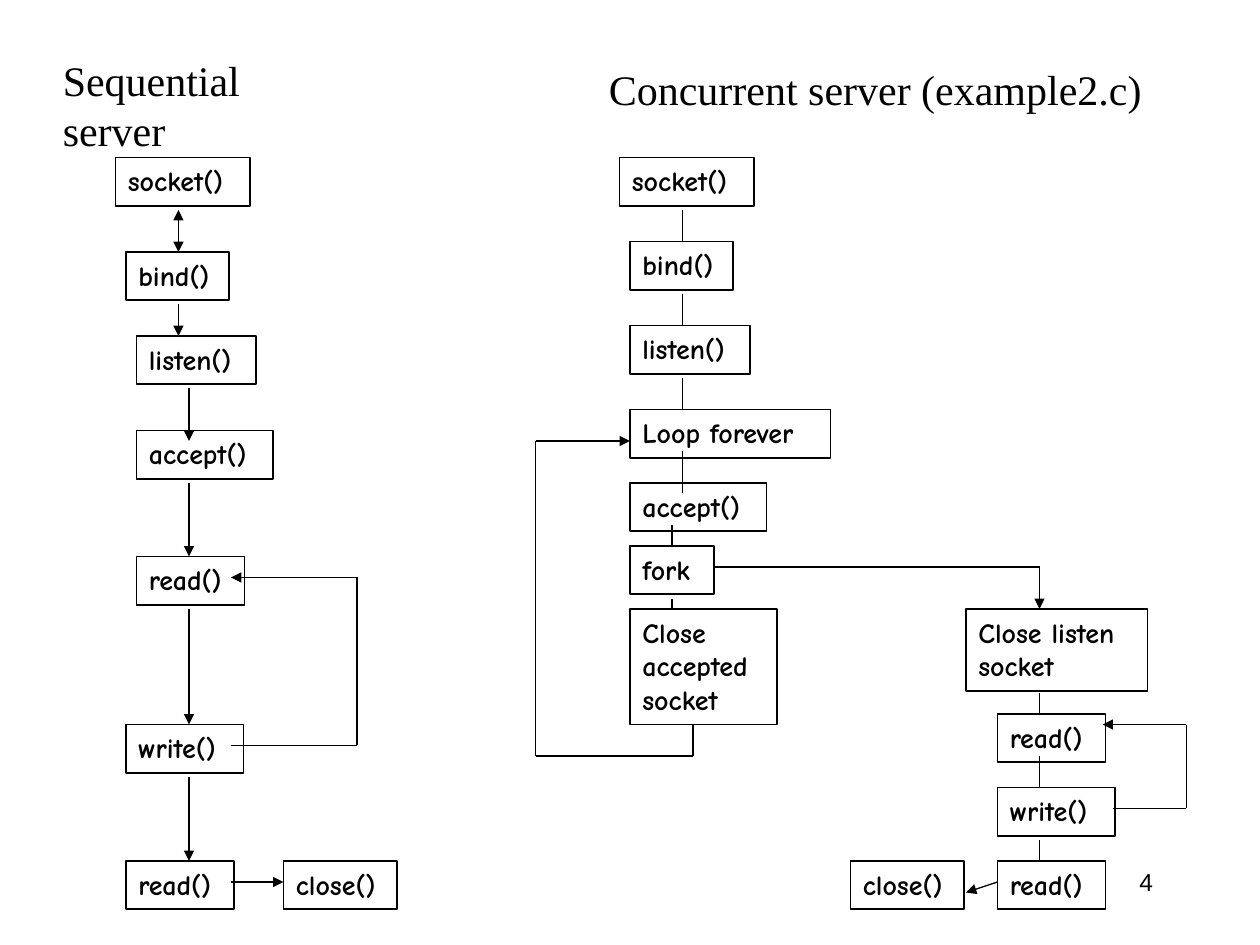
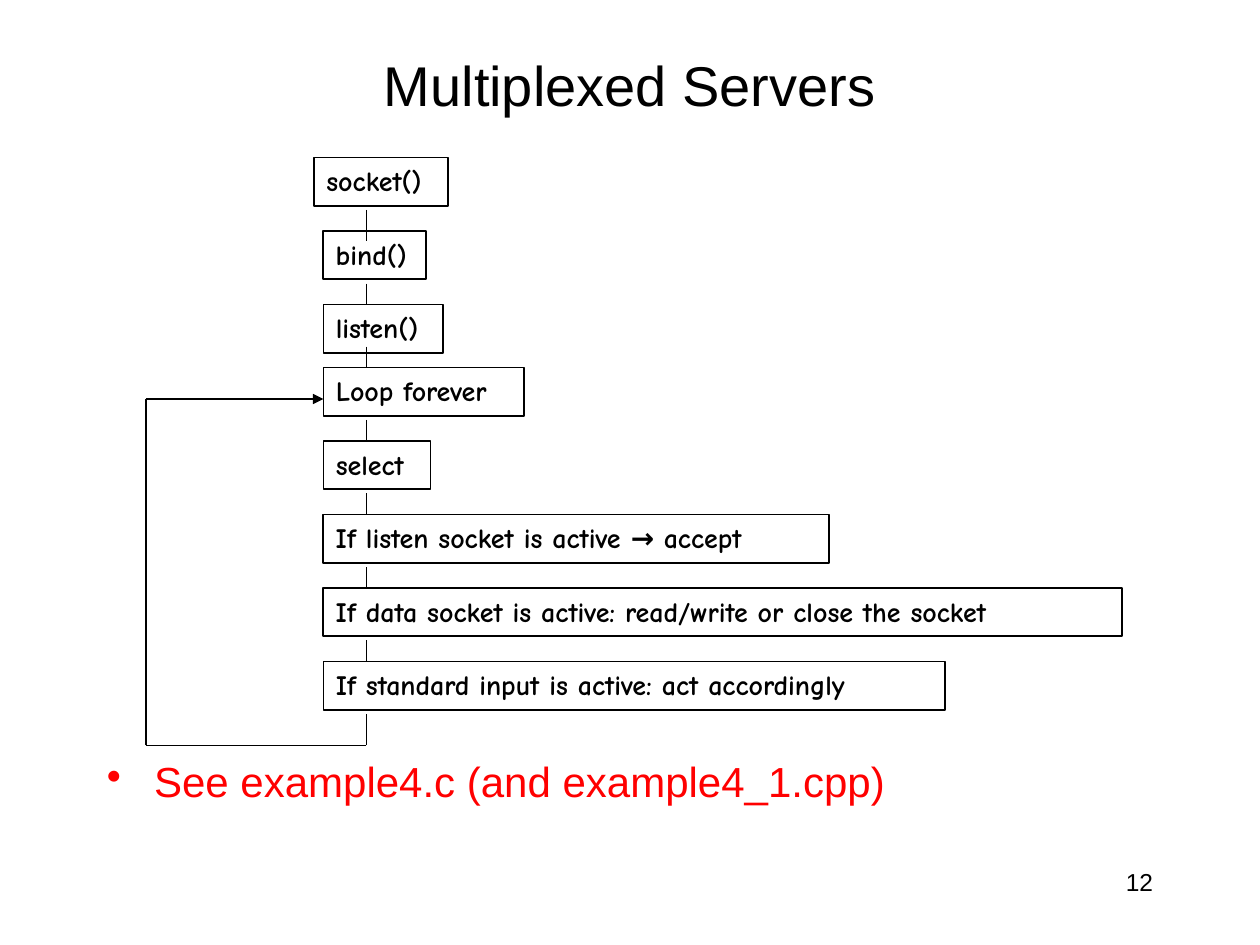
from lxml import etree
from pptx import Presentation
from pptx.dml.color import RGBColor
from pptx.enum.shapes import MSO_CONNECTOR, MSO_SHAPE
from pptx.enum.text import MSO_ANCHOR, PP_ALIGN
from pptx.oxml.ns import qn
from pptx.util import Pt

SCALE = 7620
BLANK = 6
STRAIGHT = MSO_CONNECTOR.STRAIGHT
RECTANGLE = MSO_SHAPE.RECTANGLE
TOP, MIDDLE = MSO_ANCHOR.TOP, MSO_ANCHOR.MIDDLE
LEFT, CENTER, RIGHT = PP_ALIGN.LEFT, PP_ALIGN.CENTER, PP_ALIGN.RIGHT
BLACK, RED = "000000", "FF0000"

FORMATS = {
    "step": {"name": "Comic Neue", "size": Pt(16), "bold": True},
    "heading": {"name": "Times New Roman", "size": Pt(24)},
    "title": {"name": "Arial", "size": Pt(32)},
    "bullet": {"name": "Arial", "size": Pt(24)},
    "number": {"name": "Arial", "size": Pt(14)},
}

STEP_WIDTHS = {
    "socket()": 128,
    "bind()": 98,
    "listen()": 114,
    "accept()": 130,
    "read()": 103,
    "write()": 112,
    "close()": 108,
    "Loop forever": 191,
    "fork": 80,
    "select": 102,
    "Close\naccepted\nsocket": 140,
    "Close listen\nsocket": 173,
    "If listen socket is active → accept": 482,
    "If data socket is active: read/write or close the socket": 761,
    "If standard input is active: act accordingly": 592,
}


def px(length):
    return length * SCALE


def color(value):
    return RGBColor.from_string(value)


class Page:
    def __init__(self, deck):
        self.deck = deck
        self.shapes = None

    def start(self, number):
        layout = self.deck.slide_layouts[BLANK]
        self.shapes = self.deck.slides.add_slide(layout).shapes
        self.text(str(number), 860, 820, 250, 60, "number", align=RIGHT)

    def set_text(self, box, text, style, ink=BLACK, align=LEFT, anchor=TOP, wrap=True):
        frame = box.text_frame
        frame.word_wrap = wrap
        frame.vertical_anchor = anchor
        for index, line in enumerate(text.split("\n")):
            para = frame.paragraphs[0] if index == 0 else frame.add_paragraph()
            para.alignment = align
            span = para.add_run()
            span.text = line
            for name, value in FORMATS[style].items():
                setattr(span.font, name, value)
            span.font.color.rgb = color(ink)

    def text(self, text, left, top, width, height, style, **options):
        box = self.shapes.add_textbox(px(left), px(top), px(width), px(height))
        self.set_text(box, text, style, **options)
        return box

    def title(self, text):
        self.text(text, 90, 30, 1020, 100, "title", align=CENTER, anchor=MIDDLE)

    def heading(self, text, left, top, width):
        self.text(text, left, top, width, 60, "heading", wrap=False)

    def bullet(self, text, top):
        box = self.text(text, 90, top, 1020, 56, "bullet", ink=RED)
        properties = box.text_frame.paragraphs[0]._p.get_or_add_pPr()
        properties.set("marL", str(px(45)))
        properties.set("indent", str(-px(45)))
        etree.SubElement(properties, qn("a:buChar")).set("char", "•")

    def step(self, text, left, top):
        height = 14 + 32 * len(text.split("\n"))
        box = self.shapes.add_shape(
            RECTANGLE, px(left), px(top), px(STEP_WIDTHS[text]), px(height))
        box.shadow.inherit = False
        box.fill.background()
        box.line.color.rgb = color(BLACK)
        box.line.width = Pt(1)
        self.set_text(box, text, "step")

    def steps(self, left, rows):
        for top, text in rows:
            self.step(text, left, top)

    def line(self, start, end, *arrows):
        connector = self.shapes.add_connector(STRAIGHT, *map(px, start + end))
        connector.line.color.rgb = color(BLACK)
        connector.line.width = Pt(0.75)
        properties = connector._element.spPr
        outline = properties.get_or_add_ln()
        for arrow in arrows:
            etree.SubElement(outline, qn(f"a:{arrow}")).set("type", "triangle")
        etree.SubElement(properties, qn("a:effectLst"))

    def links(self, center, spans, *arrows):
        for top, bottom in spans:
            self.line((center, top), (center, bottom), *arrows)

    def route(self, *points):
        for start, end in zip(points[:-2], points[1:-1]):
            self.line(start, end)
        self.line(points[-2], points[-1], "tailEnd")


def sequential_server(page):
    page.heading("Sequential server", 48, 46, 300)
    page.step("socket()", 110, 150)
    page.steps(120, [(240, "bind()"), (690, "write()"), (820, "read()")])
    page.steps(130, [(320, "listen()"), (410, "accept()"), (530, "read()")])
    page.step("close()", 270, 820)
    page.links(170, [(200, 240)], "headEnd", "tailEnd")
    page.links(170, [(290, 320)], "tailEnd")
    page.links(180, [(370, 420), (460, 530), (580, 690), (740, 820)], "tailEnd")
    page.route((220, 840), (270, 840))
    page.route((220, 710), (340, 710), (340, 550), (220, 550))


def concurrent_server(page):
    page.heading("Concurrent server (example2.c)", 568, 55, 532)
    page.step("socket()", 590, 150)
    page.steps(600, [
        (230, "bind()"), (310, "listen()"), (390, "Loop forever"),
        (460, "accept()"), (520, "fork"), (580, "Close\naccepted\nsocket")])
    page.step("Close listen\nsocket", 920, 580)
    page.steps(950, [(680, "read()"), (750, "write()"), (820, "read()")])
    page.step("close()", 810, 820)
    page.links(650, [(200, 230), (280, 310), (360, 390), (430, 470)])
    page.links(640, [(500, 520), (570, 580)])
    page.links(990, [(660, 680), (720, 750), (800, 820)])
    page.route((660, 690), (660, 720), (510, 720), (510, 420), (600, 420))
    page.route((680, 540), (990, 540), (990, 580))
    page.route((950, 840), (920, 850))
    page.route((1060, 770), (1130, 770), (1130, 690), (1050, 690))


def multiplexed_servers(page):
    page.title("Multiplexed Servers")
    page.bullet("See example4.c (and example4_1.cpp)", 714)
    page.step("socket()", 299, 150)
    page.steps(308, [
        (220, "bind()"), (290, "listen()"), (350, "Loop forever"), (420, "select"),
        (490, "If listen socket is active → accept"),
        (560, "If data socket is active: read/write or close the socket"),
        (630, "If standard input is active: act accordingly")])
    page.links(349, [(200, 230), (270, 290), (330, 350)])
    page.links(349, [(top, top + 20) for top in range(400, 611, 70)])
    page.route((349, 680), (349, 710), (139, 710), (139, 380), (308, 380))


def main():
    deck = Presentation()
    deck.slide_width, deck.slide_height = px(1200), px(900)
    page = Page(deck)
    page.start(4)
    sequential_server(page)
    concurrent_server(page)
    page.start(12)
    multiplexed_servers(page)
    deck.save("out.pptx")


if __name__ == "__main__":
    main()
